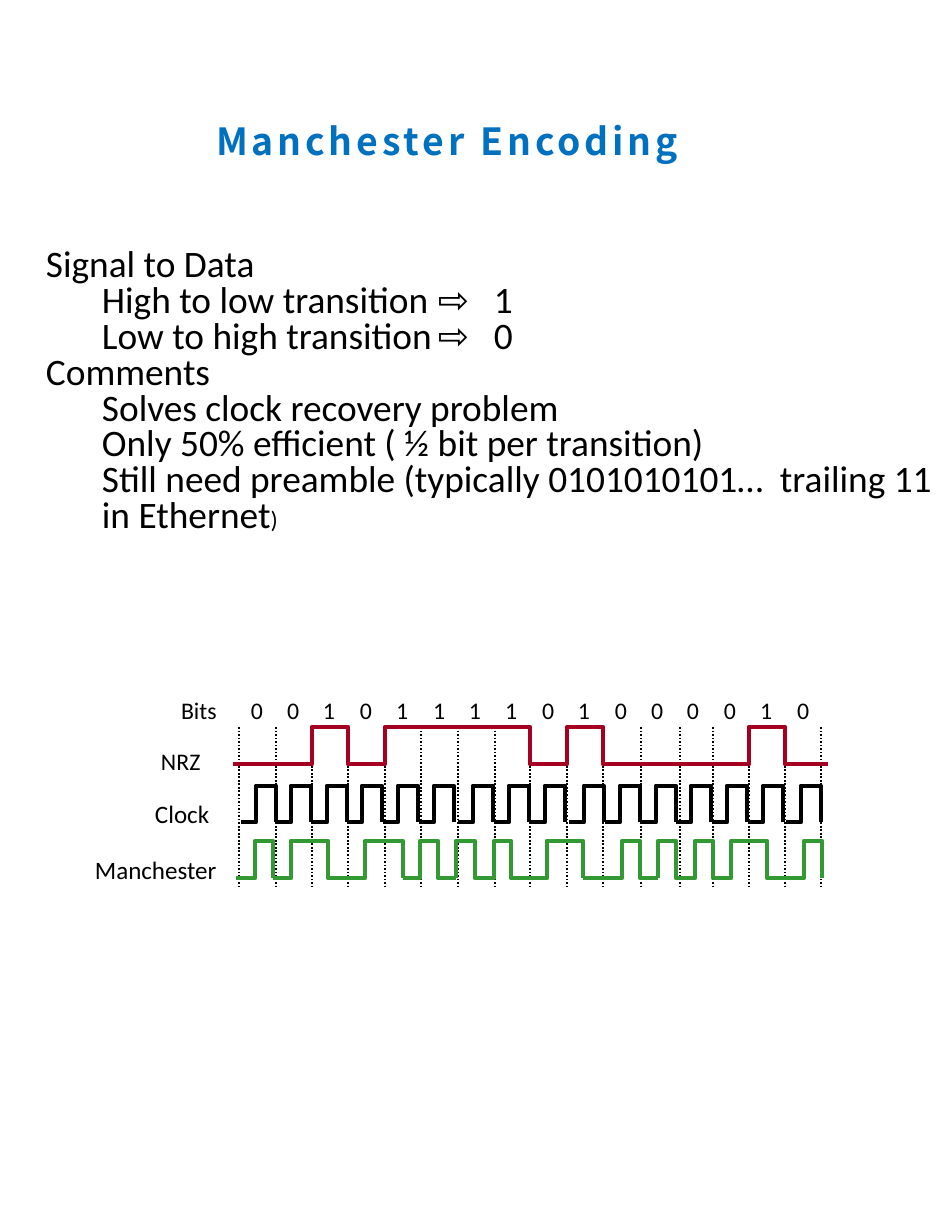
from pptx import Presentation
from pptx.dml.color import RGBColor
from pptx.enum.dml import MSO_LINE
from pptx.enum.shapes import MSO_CONNECTOR
from pptx.enum.text import MSO_ANCHOR, MSO_AUTO_SIZE, PP_ALIGN
from pptx.util import Emu, Pt
from lxml import etree

BLACK = RGBColor(0x00, 0x00, 0x00)
BLUE = RGBColor(0x00, 0x70, 0xC0)
RED = RGBColor(0xA5, 0x00, 0x21)
GREEN = RGBColor(0x33, 0x99, 0x33)
STRAIGHT = MSO_CONNECTOR.STRAIGHT
DOTTED = MSO_LINE.ROUND_DOT
FIT = MSO_AUTO_SIZE.SHAPE_TO_FIT_TEXT
LEFT, MIDDLE = PP_ALIGN.LEFT, MSO_ANCHOR.MIDDLE
A = "http://schemas.openxmlformats.org/drawingml/2006/main"
PX = 914400 / 112

prs = Presentation()
prs.slide_width, prs.slide_height = Emu(round(952 * PX)), Emu(round(1232 * PX))
s = prs.slides.add_slide(prs.slide_layouts[5])


def add_text(text, box, shape=None, size=15.3, color=BLACK, font="Calibri",
             bold=False, wrap=False, spacing=1.0):
    """Write lines of text; a leading tab indents the line."""
    box = [Emu(round(v * PX)) for v in box]
    if shape is None:
        shape = s.shapes.add_textbox(*box)
    shape.left, shape.top, shape.width, shape.height = box
    tf = shape.text_frame
    tf.margin_left = tf.margin_top = tf.margin_right = tf.margin_bottom = 0
    tf.word_wrap = wrap
    tf.auto_size = FIT
    for i, line in enumerate(text.split("\n")):
        p = tf.paragraphs[0] if i == 0 else tf.add_paragraph()
        p.alignment, p.line_spacing = LEFT, spacing
        if line.startswith("\t"):
            p.level = 1
            pPr = p._p.get_or_add_pPr()
            pPr.set("marL", str(round(56 * PX)))
            pPr.set("indent", "0")
        r = p.add_run()
        r.text = line.removeprefix("\t")
        f = r.font
        f.name, f.size, f.bold, f.color.rgb = font, Pt(size), bold, color
    return shape


def add_wave(start, edges, end, low, high, color):
    """Draw a signal that starts low and flips at each edge."""
    points, y = [], low
    for x in edges:
        points.append((x, y))
        y = low + high - y
        points.append((x, y))
    points.append((end, y))
    builder = s.shapes.build_freeform(start, low, scale=PX)
    builder.add_line_segments(points, close=False)
    sp = builder.convert_to_shape()
    sp.shadow.inherit = False
    sp.fill.background()
    sp.line.color.rgb, sp.line.width = color, Pt(3)


# Title
title = add_text("Manchester Encoding", (216, 118, 526, 45), s.shapes.title, size=24,
                 color=BLUE, font="Noto Sans CJK TC", bold=True, wrap=True)
title.text_frame.vertical_anchor = MIDDLE
title.text_frame.paragraphs[0].runs[0]._r.get_or_add_rPr().set("spc", "250")

# Body text
body = add_text("""Signal to Data
\tHigh to low transition\t⇨\t1
\tLow to high transition\t⇨\t0
Comments
\tSolves clock recovery problem
\tOnly 50% efficient ( ½ bit per transition)
\tStill need preamble (typically 0101010101…  trailing 11 in Ethernet""",
                (46, 249, 896, 290), size=24, wrap=True, spacing=0.8)
r = body.text_frame.paragraphs[-1].add_run()
r.text = ")"
r.font.name, r.font.size, r.font.color.rgb = "Calibri", Pt(15.3), BLACK

# Row labels
for label, x, y, w, size in [("Bits", 181, 696, 40, 15.3), ("NRZ", 161, 747, 49, 15.3),
                             ("Clock", 155, 799, 64, 16.1),
                             ("Manchester", 95, 855, 133, 16.1)]:
    add_text(label, (x, y, w, 30), size=size)

# Bits
bits = "0010111101000010"
for i, bit in enumerate(bits):
    add_text(bit, (251 + i * 364 // 10, 696, 13, 29))

# Dotted bit boundaries
bounds = [239, 276, 312, 348, 385, 421, 458, 495, 530, 567, 603, 641, 680, 713, 749, 785, 821]
for x in bounds:
    c = s.shapes.add_connector(STRAIGHT, *(Emu(round(v * PX)) for v in (x, 727, x, 886)))
    c.line.color.rgb, c.line.width, c.line.dash_style = BLACK, Pt(1.13), DOTTED
    etree.SubElement(c._element.spPr, f"{{{A}}}effectLst")

# NRZ signal: flips wherever the bit changes
changes = [bounds[i] for i in range(1, len(bits)) if bits[i] != bits[i - 1]]
add_wave(233, changes, 828, 764, 727, RED)

# Clock pulses
for x in [241, 276, 312, 347, 383, 419, 458, 494, 530, 569, 605, 641, 676, 712, 748, 786]:
    add_wave(x, [x + 15, x + 35], x + 35, 822, 786, BLACK)

# Manchester signal: start, edges and end of each section
for start, edges, end in [
    (236, [255, 273], 273),
    (273, [291, 328, 365, 403], 403),
    (403, [420, 438], 456),
    (456, [456, 475, 494, 511, 547, 583], 583),
    (583, [622, 640], 658),
    (658, [658, 676, 695, 713, 731, 767, 804, 822], 822),
]:
    add_wave(start, edges, end, 878, 841, GREEN)

prs.save("out.pptx")
